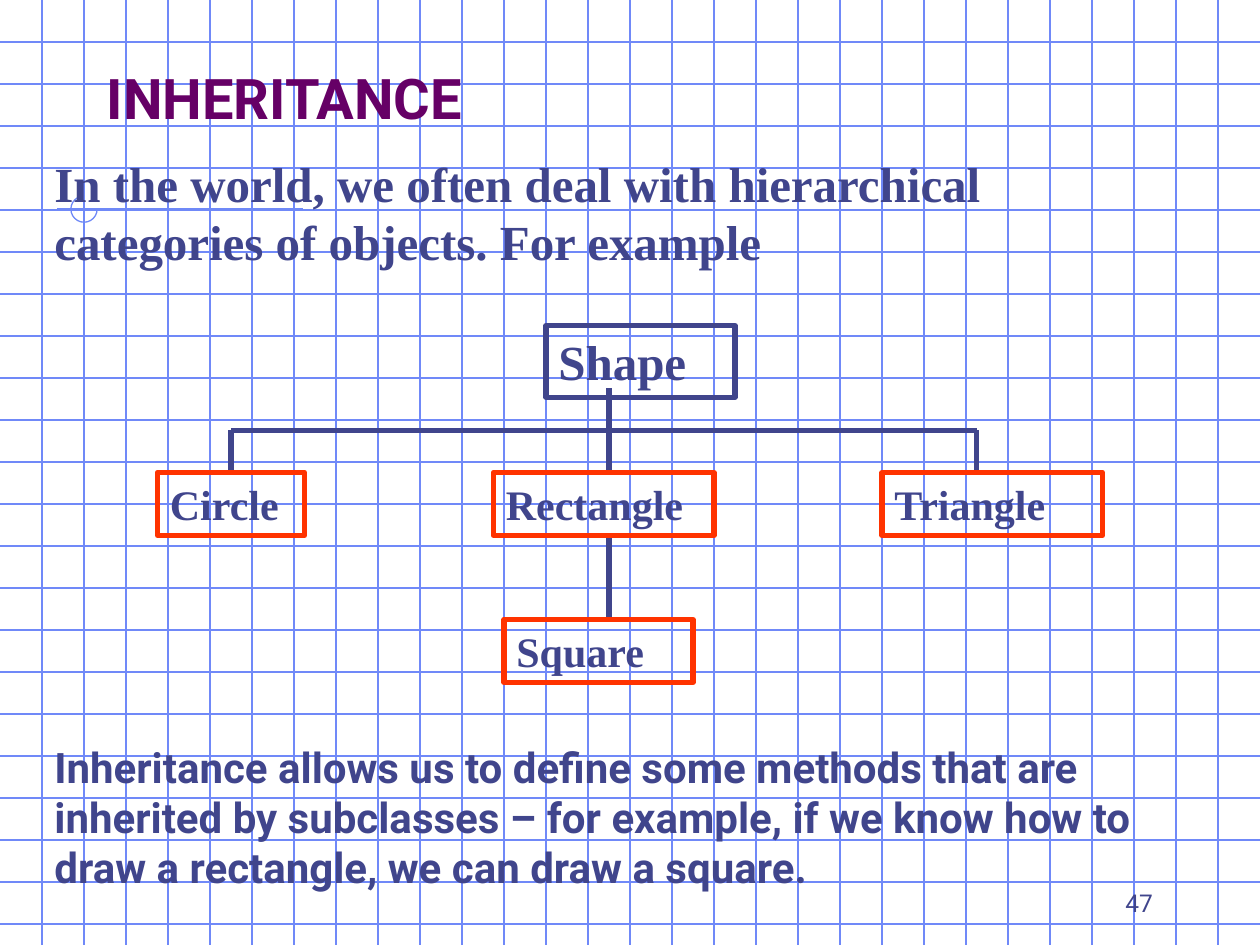
from typing import NamedTuple

from lxml.etree import SubElement
from pptx import Presentation
from pptx.dml.color import RGBColor
from pptx.enum.shapes import MSO_CONNECTOR as Conn, MSO_SHAPE as Shape
from pptx.enum.text import MSO_ANCHOR as Anchor, MSO_AUTO_SIZE as AutoSize, PP_ALIGN as Align
from pptx.oxml.ns import qn
from pptx.util import Pt

WIDTH, HEIGHT, GRID = 720, 540, 24
GRID_BLUE, MARK_BLUE = "7089F8", "6F89F7"
NAVY, ORANGE, PURPLE = "40458C", "FF3300", "660066"
SANS, SERIF = "Roboto", "Times New Roman"


class Text(NamedTuple):
    text: str
    left: float
    top: float
    width: float
    height: float
    size: float
    font: str = SERIF
    color: str = NAVY
    bold: bool = True
    anchor: Anchor = Anchor.TOP
    align: Align = Align.LEFT
    border: str = ""


class Line(NamedTuple):
    x1: float
    y1: float
    x2: float
    y2: float
    color: str = NAVY
    width: float = 3


TITLE = Text("INHERITANCE", 54, 18, 612, 60, 32, SANS, PURPLE, anchor=Anchor.BOTTOM)
INTRO = Text("In the world, we often deal with hierarchical categories of objects. "
             "For example", 24, 84, 648, 75, 28)
SUMMARY = Text("Inheritance allows us to define some methods that are inherited by "
               "subclasses – for example, if we know how to draw a rectangle, "
               "we can draw a square.", 24, 420, 666, 93.5, 24, SANS)
NUMBER = Text("47", 516, 492, 150, 36, 14, SANS, bold=False,
              anchor=Anchor.BOTTOM, align=Align.RIGHT)

ROOT = Text("Shape", 312, 186, 108, 41, 28, border=NAVY)
CIRCLE = Text("Circle", 90, 270, 84, 36, 24, border=ORANGE)
RECTANGLE = Text("Rectangle", 282, 270, 126, 36, 24, border=ORANGE)
TRIANGLE = Text("Triangle", 504, 270, 126, 36, 24, border=ORANGE)
SQUARE = Text("Square", 288, 354, 108, 36, 24, border=ORANGE)

BUS_Y, TRUNK_X, CIRCLE_X, TRIANGLE_X = 246, 348, 132, 558
TREE_LINES = [
    Line(TRUNK_X, 222, TRUNK_X, BUS_Y),
    Line(CIRCLE_X, BUS_Y, TRIANGLE_X, BUS_Y),
    Line(TRUNK_X, BUS_Y, TRUNK_X, RECTANGLE.top),
    Line(TRIANGLE_X, BUS_Y, TRIANGLE_X, TRIANGLE.top),
    Line(TRUNK_X, RECTANGLE.top + RECTANGLE.height, TRUNK_X, SQUARE.top),
]
MARK_LINES = [
    Line(696, 0, 696, 186, MARK_BLUE, 0.75),
    Line(173, 119.5, 32.5, 119.5, MARK_BLUE, 0.75),
    Line(48, 111.75, 48, 294.5, MARK_BLUE, 0.75),
]


def rgb(color: str) -> RGBColor:
    return RGBColor.from_string(color)


def set_all(target, values: dict) -> None:
    for name, value in values.items():
        setattr(target, name, value)


def set_line(sp, color: str, width: float) -> None:
    sp.line.color.rgb = rgb(color)
    sp.line.width = Pt(width)


def draw_line(s, line: Line):
    sp = s.shapes.add_connector(Conn.STRAIGHT, *map(Pt, line[:4]))
    set_line(sp, line.color, line.width)
    SubElement(sp._element.spPr, qn("a:effectLst"))
    return sp


def draw_text(s, item: Text):
    """Draw a text box, or an unfilled rectangle if the item has a border."""
    box = [Pt(v) for v in item[1:5]]
    if item.border:
        sp = s.shapes.add_shape(Shape.RECTANGLE, *box)
        sp.shadow.inherit = False
        sp.fill.background()
        set_line(sp, item.border, 3)
    else:
        sp = s.shapes.add_textbox(*box)
    tf = sp.text_frame
    set_all(tf, {"word_wrap": True, "auto_size": AutoSize.NONE,
                 "vertical_anchor": item.anchor})
    p = tf.paragraphs[0]
    p.alignment = item.align
    r = p.add_run()
    r.text = item.text
    set_all(r.font, {"name": item.font, "size": Pt(item.size), "bold": item.bold})
    r.font.color.rgb = rgb(item.color)
    return sp


def draw_background(s) -> None:
    for y in range(GRID, HEIGHT, GRID):
        draw_line(s, Line(0, y, WIDTH, y, GRID_BLUE, 0.75))
    for x in range(GRID, WIDTH, GRID):
        draw_line(s, Line(x, 0, x, HEIGHT, GRID_BLUE, 0.75))
    for line in MARK_LINES:
        draw_line(s, line)
    arc = s.shapes.add_shape(Shape.ARC, Pt(40.5), Pt(112), Pt(15), Pt(15))
    arc.shadow.inherit = False
    arc.fill.background()
    set_line(arc, MARK_BLUE, 0.75)
    # Angles are in 60000ths of a degree, adjustments in 100000ths
    arc.adjustments[0], arc.adjustments[1] = 0, 270 * 0.6


def draw_tree(s) -> None:
    draw_text(s, ROOT)
    for line in TREE_LINES:
        draw_line(s, line)
    circle_line = draw_line(s, Line(CIRCLE_X, BUS_Y, CIRCLE_X, CIRCLE.top))
    circle_line.end_connect(draw_text(s, CIRCLE), 0)
    for item in (RECTANGLE, TRIANGLE, SQUARE):
        draw_text(s, item)


def main() -> None:
    prs = Presentation()
    prs.slide_width, prs.slide_height = Pt(WIDTH), Pt(HEIGHT)
    s = prs.slides.add_slide(prs.slide_layouts[6])
    draw_background(s)
    draw_text(s, TITLE)
    draw_text(s, INTRO)
    draw_tree(s)
    draw_text(s, SUMMARY)
    draw_text(s, NUMBER)
    prs.save("out.pptx")


if __name__ == "__main__":
    main()
